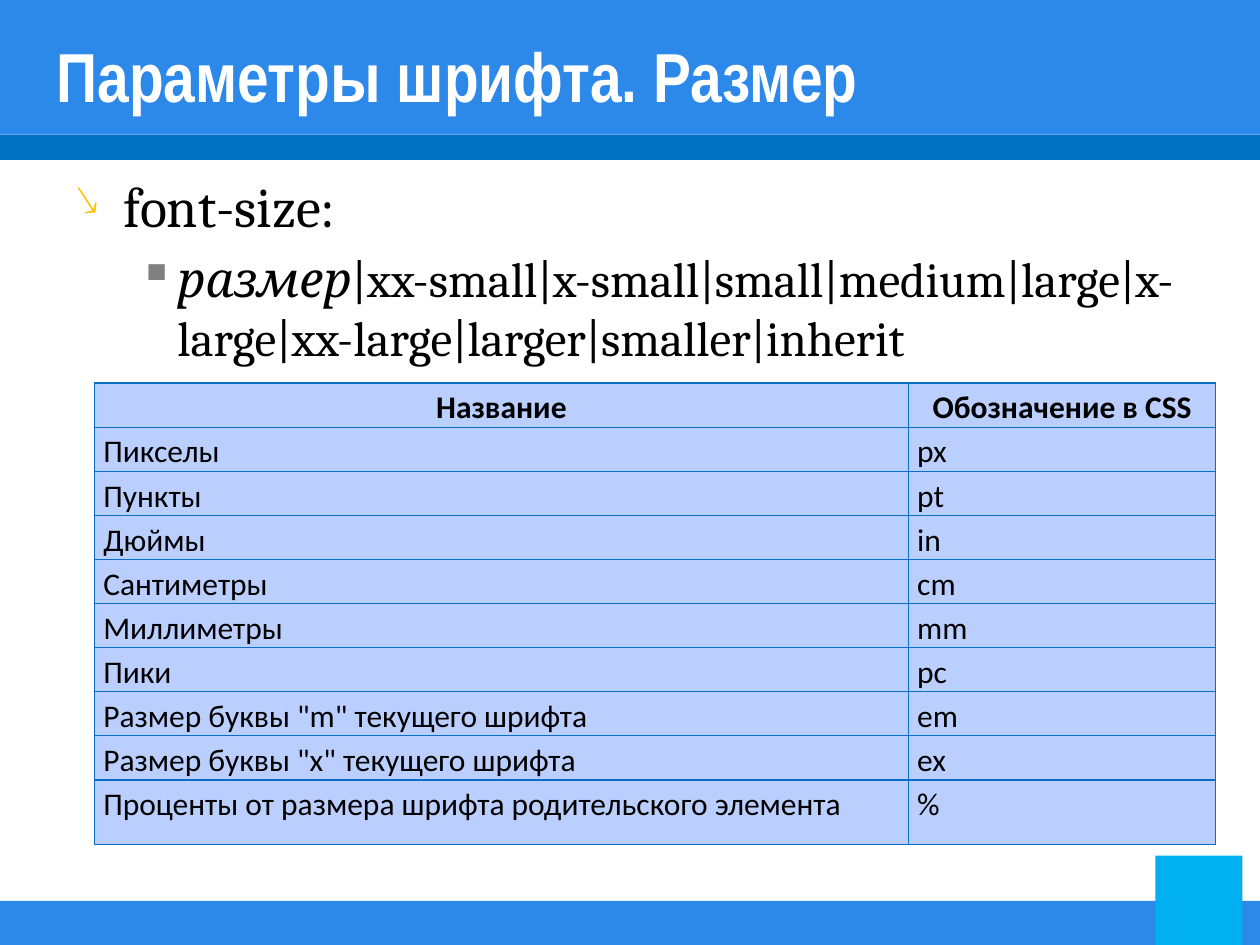
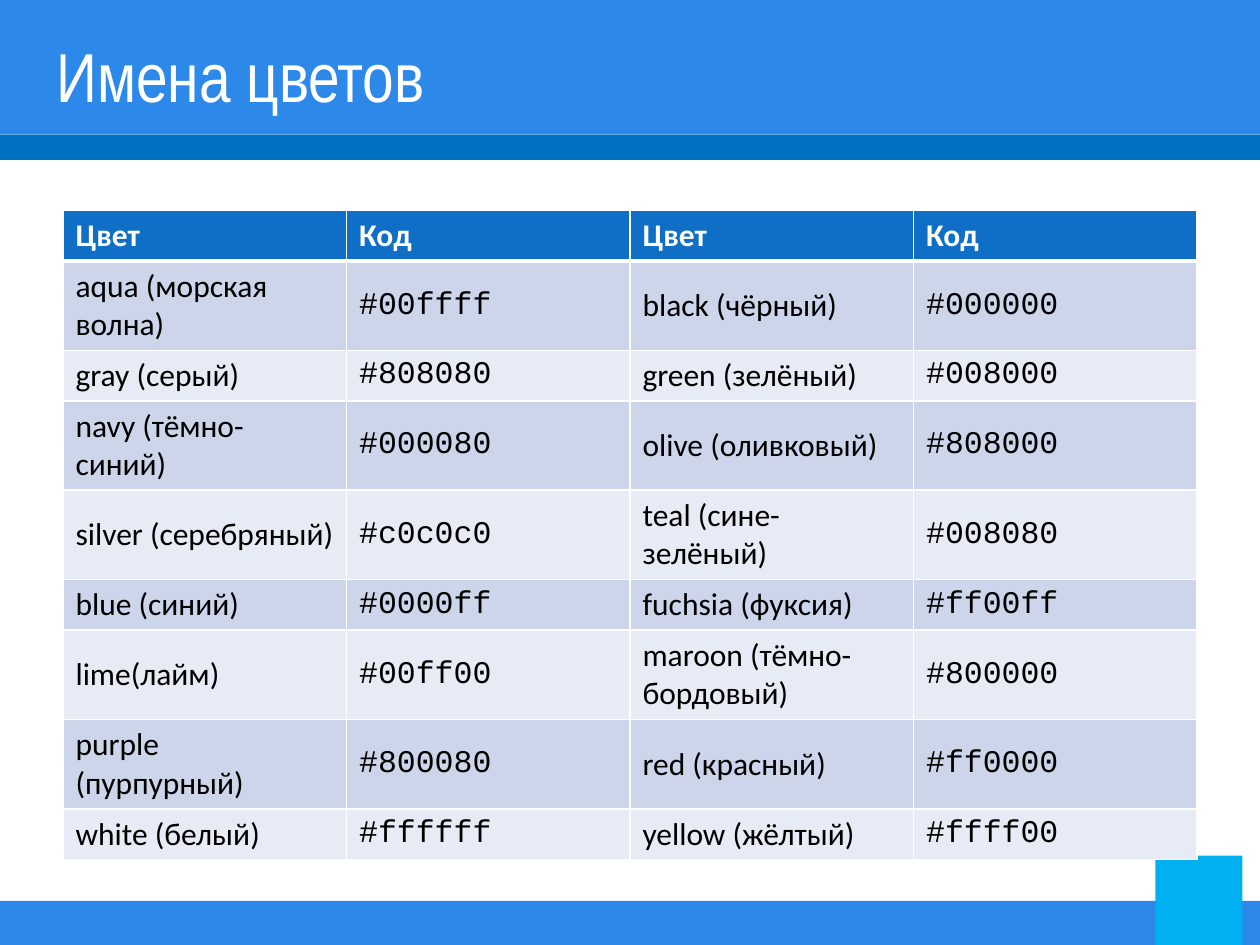
from lxml import etree
from pptx import Presentation
from pptx.dml.color import RGBColor
from pptx.enum.shapes import MSO_SHAPE
from pptx.enum.text import MSO_ANCHOR, PP_ALIGN
from pptx.oxml.ns import qn
from pptx.util import Inches, Pt

RECTANGLE = MSO_SHAPE.RECTANGLE
MIDDLE, TOP = MSO_ANCHOR.MIDDLE, MSO_ANCHOR.TOP
LEFT, CENTER = PP_ALIGN.LEFT, PP_ALIGN.CENTER

# Shared look: colour, then left, top, width, height
BANDS = [
    ("2C88E9", 0, 0, 10, 1.07),
    ("0070C0", 0, 1.07, 10, 0.2),
    ("2C88E9", 0, 7.15, 10, 0.35),
    ("00B0F0", 9.17, 6.79, 0.69, 0.71),
]
TITLE = {"name": "Arial Narrow", "size": 39.6, "color": "FFFFFF"}
BODY = {"name": "Cambria", "size": 28, "color": "000000"}
CELL = {"name": "Calibri", "size": 18, "color": "000000", "bold": False}
CODE = {**CELL, "name": "Courier New"}

# Bullets: character, colour, size in percent, text indent, hanging width
ARROW = ("↘", "FFC000", 75, 0.38, 0.38)
SQUARE = ("▪", "808080", 100, 0.81, 0.31)

UNITS = [
    ("Название", "Обозначение в CSS"),
    ("Пикселы", "px"),
    ("Пункты", "pt"),
    ("Дюймы", "in"),
    ("Сантиметры", "cm"),
    ("Миллиметры", "mm"),
    ("Пики", "pc"),
    ('Размер буквы "m" текущего шрифта', "em"),
    ('Размер буквы "x" текущего шрифта', "ex"),
    ("Проценты от размера шрифта родительского элемента", "%"),
]
COLOR_NAMES = [
    ("Цвет", "Код", "Цвет", "Код"),
    ("aqua (морская волна)", "#00ffff", "black (чёрный)", "#000000"),
    ("gray (серый)", "#808080", "green (зелёный)", "#008000"),
    ("navy (тёмно-синий)", "#000080", "olive (оливковый)", "#808000"),
    ("silver (серебряный)", "#c0c0c0", "teal (сине-зелёный)", "#008080"),
    ("blue (синий)", "#0000ff", "fuchsia (фуксия)", "#ff00ff"),
    ("lime(лайм)", "#00ff00", "maroon (тёмно-бордовый)", "#800000"),
    ("purple (пурпурный)", "#800080", "red (красный)", "#ff0000"),
    ("white (белый)", "#ffffff", "yellow (жёлтый)", "#ffff00"),
]


def rgb(value):
    return RGBColor.from_string(value)


def add_node(parent, tag, **attributes):
    node = etree.SubElement(parent, qn(tag))
    for key, value in attributes.items():
        node.set(key, str(value))
    return node


class SlideBuilder:
    """Holds the deck, the shared style and the current page."""

    def __init__(self):
        self.deck = Presentation()
        self.deck.slide_width = Inches(10)
        self.deck.slide_height = Inches(7.5)
        self.page = None

    def start_page(self, title, bold=False):
        self.page = self.deck.slides.add_slide(self.deck.slide_layouts[6])
        for color, *place in BANDS:
            self.band(color, place)
        frame = self.text_frame((0.35, 0.29, 9, 0.61), MIDDLE)
        self.span(frame.paragraphs[0], title, {**TITLE, "bold": bold})

    def band(self, color, place):
        box = self.page.shapes.add_shape(RECTANGLE, *map(Inches, place))
        box.shadow.inherit = False
        box.fill.solid()
        box.fill.fore_color.rgb = rgb(color)
        box.line.fill.background()

    def text_frame(self, place, anchor=TOP):
        frame = self.page.shapes.add_textbox(*map(Inches, place)).text_frame
        frame.word_wrap = True
        frame.vertical_anchor = anchor
        return frame

    def span(self, para, text, style):
        span = para.add_run()
        span.text = text
        for key, value in style.items():
            if key == "color":
                span.font.color.rgb = rgb(value)
            else:
                setattr(span.font, key, Pt(value) if key == "size" else value)

    def bullet(self, para, mark, color, percent, indent, hanging):
        para.space_before = Pt(6)
        props = para._p.get_or_add_pPr()
        props.set("marL", str(Inches(indent)))
        props.set("indent", str(-Inches(hanging)))
        add_node(add_node(props, "a:buClr"), "a:srgbClr", val=color)
        add_node(props, "a:buSzPct", val=percent * 1000)
        add_node(props, "a:buChar", char=mark)

    def table(self, rows, left, top, widths, heights):
        """Add a plain table and yield its cells with row, column and text."""
        frame = self.page.shapes.add_table(
            len(rows), len(widths), Inches(left), Inches(top),
            Inches(sum(widths)), Inches(sum(heights)))
        grid = frame.table
        grid.first_row = grid.horz_banding = False
        for column, width in zip(grid.columns, widths):
            column.width = Inches(width)
        for line, height in zip(grid.rows, heights):
            line.height = Inches(height)
        for row, texts in enumerate(rows):
            for column, text in enumerate(texts):
                yield grid.cell(row, column), row, column, text

    def cell(self, cell, text, style, fill, border, widths, margins,
             anchor=TOP, align=LEFT, spacing=1.0):
        """Fill a cell; widths holds its left, right, top and bottom borders."""
        props = cell._tc.get_or_add_tcPr()
        for side, width in zip("LRTB", widths):
            line = add_node(props, f"a:ln{side}", w=Pt(width))
            add_node(add_node(line, "a:solidFill"), "a:srgbClr", val=border)
        cell.fill.solid()
        cell.fill.fore_color.rgb = rgb(fill)
        cell.margin_left = cell.margin_right = Inches(margins[0])
        cell.margin_top = cell.margin_bottom = Inches(margins[1])
        cell.vertical_anchor = anchor
        para = cell.text_frame.paragraphs[0]
        para.alignment = align
        para.line_spacing = spacing
        self.span(para, text, style)


def font_size_page(builder):
    builder.start_page("Параметры шрифта. Размер", bold=True)

    # Property and its values
    frame = builder.text_frame((0.5, 1.31, 9.5, 1.7))
    para = frame.paragraphs[0]
    builder.bullet(para, *ARROW)
    builder.span(para, "font-size:", {**BODY, "size": 32})
    para = frame.add_paragraph()
    para.level = 1
    builder.bullet(para, *SQUARE)
    builder.span(para, "размер", {**BODY, "italic": True})
    builder.span(para, "|xx-small|x-small|small|medium|large|x-large"
                       "|xx-large|larger|smaller|inherit", BODY)

    # Units of measure
    heights = [0.35] * (len(UNITS) - 1) + [0.51]
    for cell, row, _, text in builder.table(
            UNITS, 0.75, 3.04, [6.46, 2.44], heights):
        header = row == 0
        builder.cell(cell, text, {**CELL, "bold": header}, "BBCFFF", "0A6DC6",
                     [0.75] * 4, (0.07, 0),
                     align=CENTER if header else LEFT, spacing=1.15)


def color_names_page(builder):
    builder.start_page("Имена цветов")

    # Banded table with a heavy rule under the header
    tall_rows = (1, 3, 4, 6, 7)
    heights = [0.71 if row in tall_rows else 0.4
               for row in range(len(COLOR_NAMES))]
    for cell, row, column, text in builder.table(
            COLOR_NAMES, 0.5, 1.67, [2.25] * 4, heights):
        if row == 0:
            style = {**CELL, "color": "FFFFFF", "bold": True}
            fill = "0F6FC6"
        else:
            style = CODE if column % 2 else CELL
            fill = "CCD5EA" if row % 2 else "E7EBF5"
        widths = (1, 1, 3 if row == 1 else 1, 3 if row == 0 else 1)
        builder.cell(cell, text, style, fill, "FFFFFF", widths, (0.1, 0.05),
                     anchor=MIDDLE)


def main():
    builder = SlideBuilder()
    font_size_page(builder)
    color_names_page(builder)
    builder.deck.save("out.pptx")


if __name__ == "__main__":
    main()
